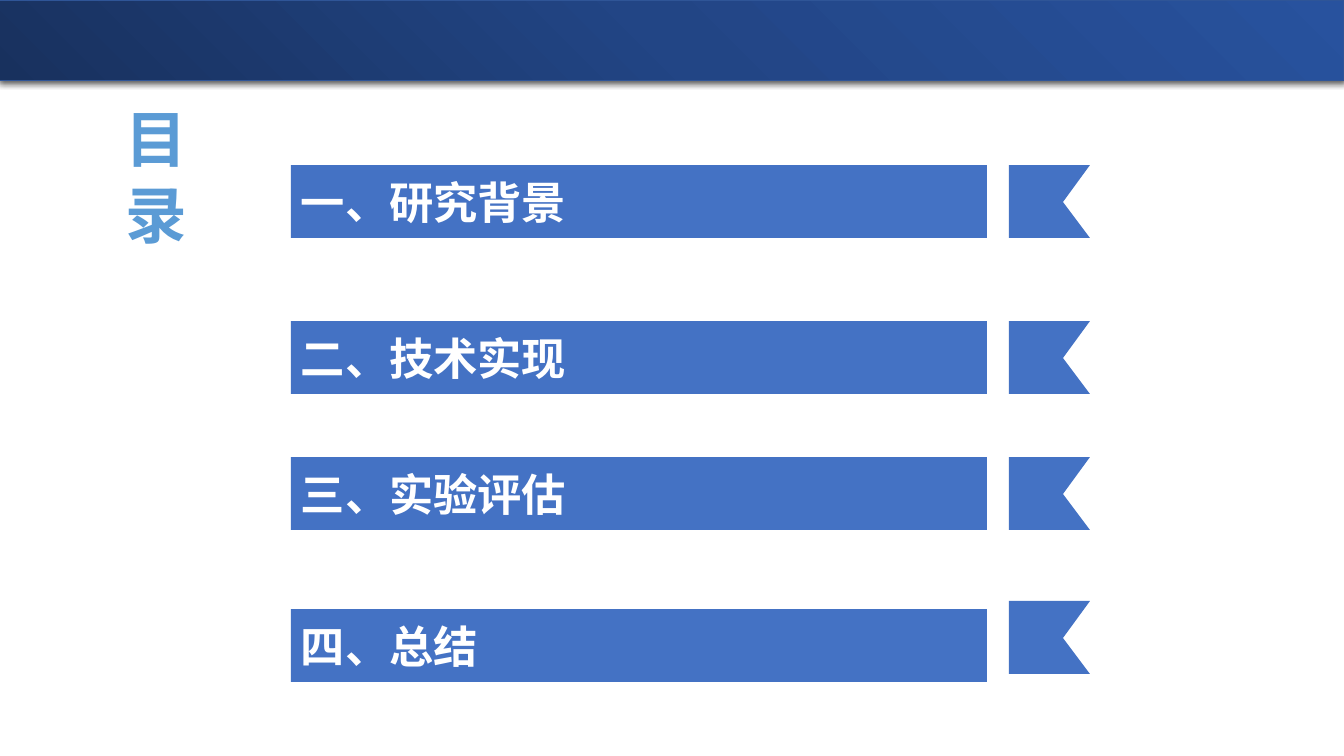
from lxml import etree
from pptx import Presentation
from pptx.dml.color import RGBColor
from pptx.enum import shapes, text
from pptx.oxml.ns import qn
from pptx.util import Emu, Pt

PX = 914400 / 100.8
FONT = "Noto Sans CJK SC"
HUES = {
    "bar": "4472C4", "title": "5B9BD5", "white": "FFFFFF",
    "edge": "2F5597", "dark": "18315E", "mid": "224585",
    "light": "28529E", "shade": "000000",
}
ROWS = [
    ("一、研究背景", 165, 165),
    ("二、技术实现", 321, 321),
    ("三、实验评估", 457, 457),
    ("四、总结", 609, 601),
]


def px(n):
    return Emu(round(n * PX))


def hue(name):
    return RGBColor.from_string(HUES[name])


def sub(node, tag, **attrs):
    return etree.SubElement(node, qn(tag), {k: str(v) for k, v in attrs.items()})


def paint(shape, name):
    shape.shadow.inherit = False
    shape.fill.solid()
    shape.fill.fore_color.rgb = hue(name)
    shape.line.fill.background()


def write(shape, words, size, name):
    frame = shape.text_frame
    frame.word_wrap = True
    frame.vertical_anchor = text.MSO_ANCHOR.MIDDLE
    para = frame.paragraphs[0]
    para.alignment = text.PP_ALIGN.LEFT
    run = para.add_run()
    run.text = words
    font = run.font
    font.name, font.size, font.bold = FONT, Pt(size), True
    font.color.rgb = hue(name)
    sub(font._element, "a:ea", typeface=FONT)


def banner(slide):
    band = slide.shapes.add_shape(
        shapes.MSO_SHAPE.RECTANGLE, px(-1), 0, px(1345), px(81))
    band.line.color.rgb = hue("edge")
    band.line.width = Pt(0.75)
    band.shadow.inherit = False
    props = band._element.spPr
    grad = etree.Element(qn("a:gradFill"), rotWithShape="1")
    stops = sub(grad, "a:gsLst")
    for pos, name in ((0, "dark"), (50, "mid"), (100, "light")):
        stop = sub(stops, "a:gs", pos=pos * 1000)
        sub(stop, "a:srgbClr", val=HUES[name])
    sub(grad, "a:lin", ang=315 * 60000, scaled=0)
    props.find(qn("a:prstGeom")).addnext(grad)
    glow = sub(props.find(qn("a:effectLst")), "a:outerShdw",
               blurRad=Pt(4.5), dist=Pt(1.5), dir=90 * 60000,
               algn="ctr", rotWithShape=0)
    tint = sub(glow, "a:srgbClr", val=HUES["shade"])
    sub(tint, "a:alpha", val=63000)


def title(slide):
    box = slide.shapes.add_textbox(px(84), px(98), px(140), px(585))
    write(box, "目 录", 44, "title")
    box.text_frame._txBody.bodyPr.set("vert", "eaVert")


def bar(group, words, top):
    shape = group.shapes.add_shape(
        shapes.MSO_SHAPE.RECTANGLE, px(291), px(top), px(696), px(73))
    paint(shape, "bar")
    write(shape, words, 31.6, "white")


def flag(group, top):
    left, right, notch, tall = 1009, 1090, 1063, 73
    path = group.shapes.build_freeform(left, top, scale=PX)
    path.add_line_segments([
        (right, top), (notch, top + tall / 2),
        (right, top + tall), (left, top + tall),
    ], close=True)
    paint(path.convert_to_shape(), "bar")


def main():
    deck = Presentation()
    deck.slide_width, deck.slide_height = px(1344), px(756)
    slide = deck.slides.add_slide(deck.slide_layouts[6])
    banner(slide)
    title(slide)
    for words, top, peak in ROWS:
        group = slide.shapes.add_group_shape()
        bar(group, words, top)
        flag(group, peak)
    deck.save("out.pptx")


if __name__ == "__main__":
    main()
